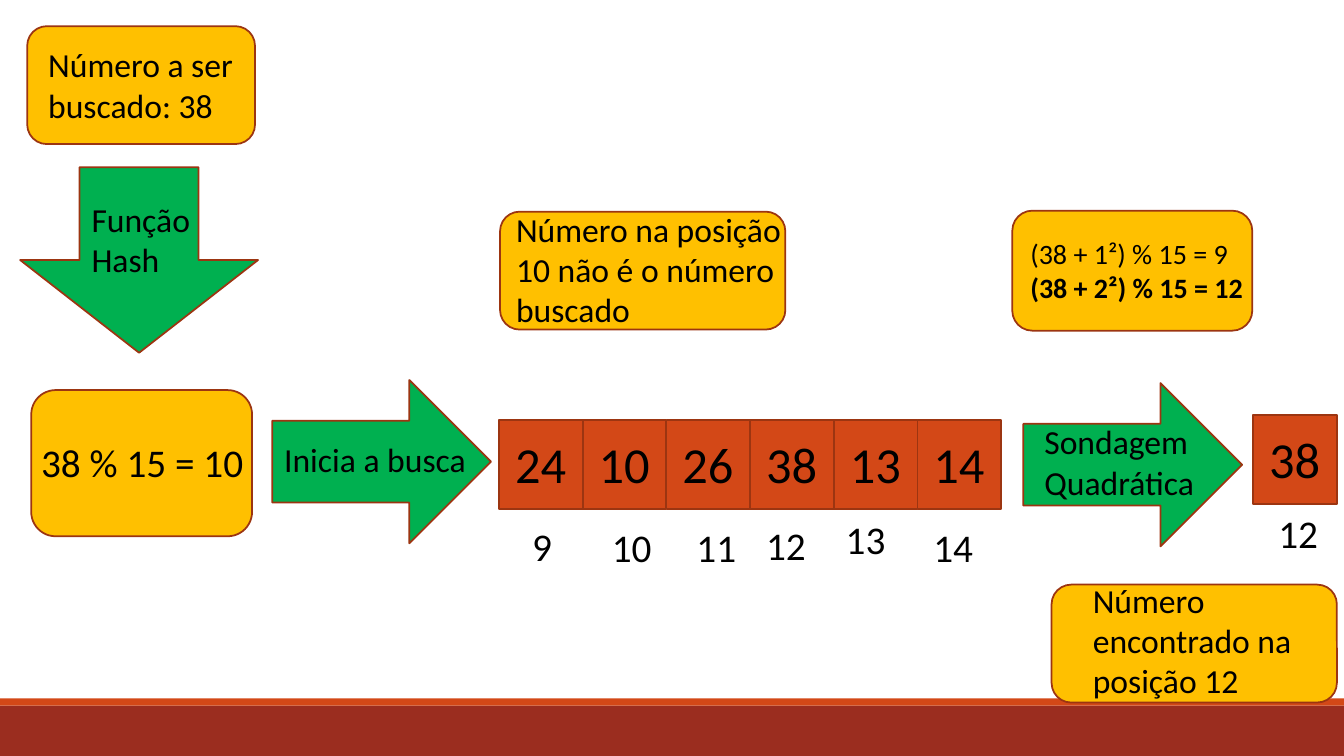
from dataclasses import dataclass

from pptx import Presentation
from pptx.dml.color import RGBColor
from pptx.enum.shapes import MSO_SHAPE
from pptx.enum.text import MSO_ANCHOR
from pptx.slide import Slide
from pptx.util import Inches, Pt

RECT = MSO_SHAPE.RECTANGLE
ROUNDED = MSO_SHAPE.ROUNDED_RECTANGLE
DOWN = MSO_SHAPE.DOWN_ARROW
RIGHT = MSO_SHAPE.RIGHT_ARROW
TOP = MSO_ANCHOR.TOP

Box = tuple[float, float, float, float]


@dataclass(frozen=True)
class Theme:
    font: str = "Calibri"
    text: str = "000000"
    outline: str = "9C3511"
    note: str = "FFC000"
    arrow: str = "00B050"
    cell: str = "D34817"
    footer: str = "9B2D1F"
    formula: int = 20
    body: int = 24
    index: int = 28
    value: int = 36
    line: float = 1.25


THEME = Theme()


@dataclass(frozen=True)
class Label:
    box: Box
    lines: tuple[str, ...]
    size: int = THEME.body
    bold_line: int = -1


@dataclass(frozen=True)
class Step:
    kind: MSO_SHAPE
    box: Box
    fill: str
    label: Label


@dataclass(frozen=True)
class Slot:
    value: str
    index: str
    index_x: float
    index_y: float


STEPS = (
    Step(ROUNDED, (0.27, 0.26, 2.26, 1.17), THEME.note,
         Label((0.38, 0.39, 2.17, 0.91), ("Número a ser buscado: 38",))),
    Step(DOWN, (0.2, 1.66, 2.36, 1.84), THEME.arrow,
         Label((0.81, 1.92, 1.83, 0.91), ("Função", "Hash"))),
    Step(ROUNDED, (0.31, 3.87, 2.19, 1.45), THEME.note,
         Label((0.31, 4.3, 2.25, 0.57), ("38 % 15 = 10",), THEME.index)),
    Step(RIGHT, (2.7, 3.77, 2.17, 1.62), THEME.arrow,
         Label((2.72, 4.31, 2.67, 0.5), ("Inicia a busca",))),
    Step(ROUNDED, (4.96, 2.1, 2.83, 1.17), THEME.note,
         Label((5.02, 2.02, 2.83, 1.31),
               ("Número na posição", "10 não é o número buscado"))),
    Step(ROUNDED, (10.04, 2.09, 2.38, 1.19), THEME.note,
         Label((10.12, 2.3, 3.08, 0.77),
               ("(38 + 1²) % 15 = 9", "(38 + 2²) % 15 = 12"), THEME.formula, 1)),
    Step(RIGHT, (10.15, 3.8, 2.17, 1.62), THEME.arrow,
         Label((10.26, 4.13, 2.67, 1.31), ("Sondagem", "Quadrática"))),
    Step(ROUNDED, (10.43, 5.8, 2.83, 1.17), THEME.note,
         Label((10.74, 5.7, 2.42, 1.31), ("Número encontrado na posição 12",))),
)

SLOTS = (
    Slot("24", "9", 5.18, 5.13),
    Slot("10", "10", 5.97, 5.14),
    Slot("26", "11", 6.81, 5.14),
    Slot("38", "12", 7.5, 5.12),
    Slot("13", "13", 8.29, 5.06),
    Slot("14", "14", 9.16, 5.14),
)
FOUND = Slot("38", "12", 12.58, 5)
TABLE_LEFT, TABLE_TOP = 4.95, 4.17
FOUND_LEFT, FOUND_TOP = 12.43, 4.12
CELL_W, CELL_H = 0.83, 0.88


def add_block(s: Slide, kind: MSO_SHAPE, box: Box, fill: str,
              outlined: bool = True) -> None:
    sp = s.shapes.add_shape(kind, *map(Inches, box))
    sp.shadow.inherit = False
    sp.fill.solid()
    sp.fill.fore_color.rgb = RGBColor.from_string(fill)
    if outlined:
        sp.line.color.rgb = RGBColor.from_string(THEME.outline)
        sp.line.width = Pt(THEME.line)
    else:
        sp.line.fill.background()


def add_label(s: Slide, label: Label) -> None:
    tf = s.shapes.add_textbox(*map(Inches, label.box)).text_frame
    tf.word_wrap = True
    tf.vertical_anchor = TOP
    for i, line in enumerate(label.lines):
        p = tf.paragraphs[0] if i == 0 else tf.add_paragraph()
        r = p.add_run()
        r.text = line
        r.font.color.rgb = RGBColor.from_string(THEME.text)
        formats = {"name": THEME.font, "size": Pt(label.size),
                   "bold": i == label.bold_line}
        for name, setting in formats.items():
            setattr(r.font, name, setting)


def add_slot(s: Slide, slot: Slot, left: float, top: float) -> None:
    add_block(s, RECT, (left, top, CELL_W, CELL_H), THEME.cell)
    add_label(s, Label((left + 0.06, top + 0.08, 0.8, 0.71),
                       (slot.value,), THEME.value))
    add_label(s, Label((slot.index_x, slot.index_y, 0.87, 0.57),
                       (slot.index,), THEME.index))


def main() -> None:
    prs = Presentation()
    prs.slide_width, prs.slide_height = Inches(13.33), Inches(7.5)
    s = prs.slides.add_slide(prs.slide_layouts[6])
    add_block(s, RECT, (0, 7, 13.33, 0.5), THEME.footer, False)
    add_block(s, RECT, (0, 6.93, 13.33, 0.07), THEME.cell, False)
    for step in STEPS:
        add_block(s, step.kind, step.box, step.fill)
        add_label(s, step.label)
    for i, slot in enumerate(SLOTS):
        add_slot(s, slot, TABLE_LEFT + i * CELL_W, TABLE_TOP)
    add_slot(s, FOUND, FOUND_LEFT, FOUND_TOP)
    prs.save("out.pptx")


if __name__ == "__main__":
    main()
